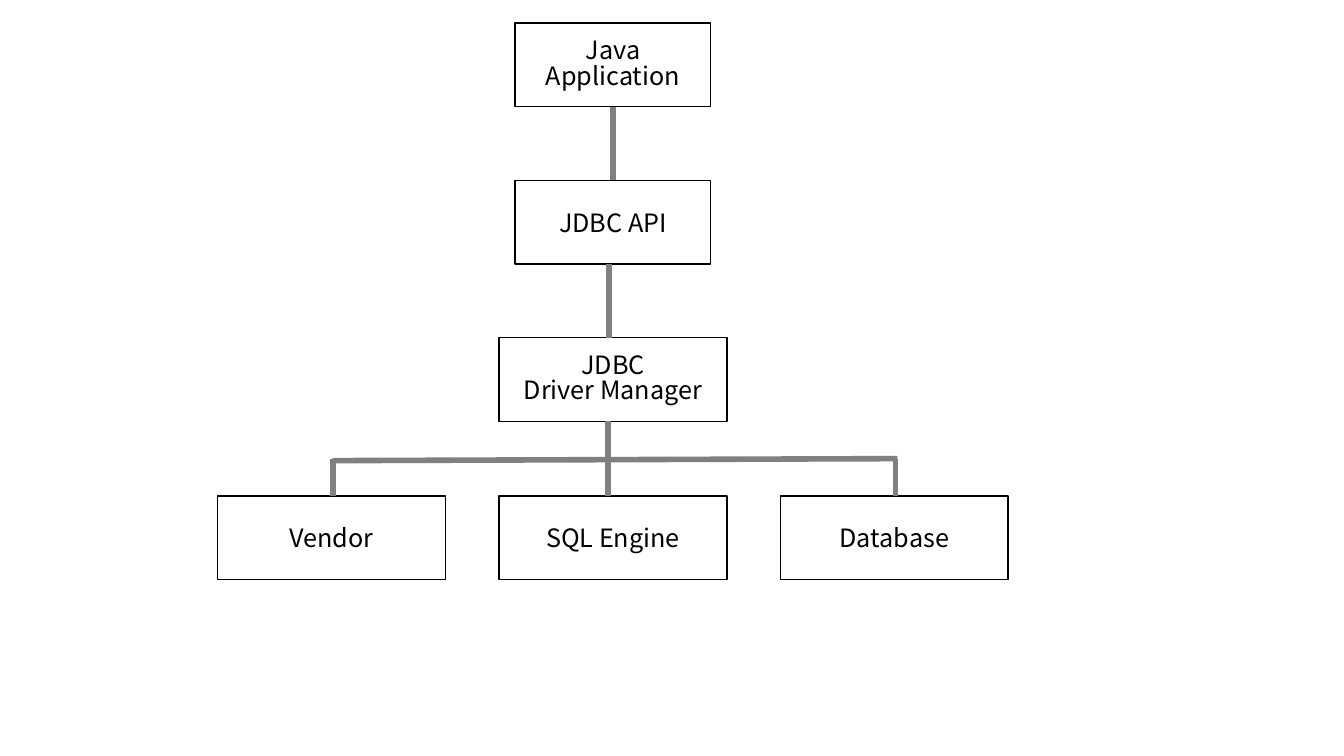
from pptx import Presentation
from pptx.dml.color import RGBColor
from pptx.enum.shapes import MSO_CONNECTOR, MSO_SHAPE
from pptx.enum.text import MSO_ANCHOR, PP_ALIGN
from pptx.oxml.ns import qn
from pptx.util import Inches, Pt

RECTANGLE = MSO_SHAPE.RECTANGLE
STRAIGHT = MSO_CONNECTOR.STRAIGHT
MIDDLE = MSO_ANCHOR.MIDDLE
CENTER = PP_ALIGN.CENTER

FONT = "Noto Sans CJK KR"
BLACK = "000000"
GREY = "808080"
AXIS = 6.08
HEIGHT = 0.83
NARROW = 1.94
WIDE = 2.26
COLUMN_STEP = 2.79
LAYER_TOPS = [0.23, 1.79, 3.35, 4.92]
BUS_TOP = 4.55


def color(value):
    return RGBColor.from_string(value)


def add_box(page, center, top, width, lines, spacing=1.0):
    box = page.shapes.add_shape(
        RECTANGLE, Inches(center - width / 2), Inches(top), Inches(width), Inches(HEIGHT)
    )
    box.shadow.inherit = False
    box.fill.background()
    box.line.color.rgb = color(BLACK)
    box.line.width = Pt(1)
    frame = box.text_frame
    frame.word_wrap = True
    frame.vertical_anchor = MIDDLE
    frame.text = "\n".join(lines)
    for paragraph in frame.paragraphs:
        paragraph.alignment = CENTER
        paragraph.line_spacing = spacing
        paragraph.font.name = FONT
        paragraph.font.size = Pt(18)
        paragraph.font.color.rgb = color(BLACK)


def add_link(page, left, top, right, bottom):
    link = page.shapes.add_connector(
        STRAIGHT, Inches(left), Inches(top), Inches(right), Inches(bottom)
    )
    link.line.color.rgb = color(GREY)
    link.line.width = Pt(4)
    properties = link._element.spPr
    properties.append(properties.makeelement(qn("a:effectLst"), {}))


def main():
    deck = Presentation()
    deck.slide_width = Inches(13.33)
    deck.slide_height = Inches(7.5)
    page = deck.slides.add_slide(deck.slide_layouts[6])

    application, api, manager, drivers = LAYER_TOPS
    add_box(page, AXIS, application, NARROW, ["Java Application"], 0.84)
    add_box(page, AXIS, api, NARROW, ["JDBC API"])
    add_box(page, AXIS, manager, WIDE, ["JDBC", "Driver Manager"], 0.84)
    for column, name in enumerate(["Vendor", "SQL Engine", "Database"], start=-1):
        add_box(page, AXIS + column * COLUMN_STEP, drivers, WIDE, [name])

    for x, upper, lower in zip([AXIS, 6.04, 6.03], LAYER_TOPS, LAYER_TOPS[1:]):
        add_link(page, x, upper + HEIGHT, x, lower)
    for x in (3.3, 8.88):
        add_link(page, x, BUS_TOP, x, drivers)
    add_link(page, 3.3, 4.57, 8.9, BUS_TOP)

    deck.save("out.pptx")


main()
